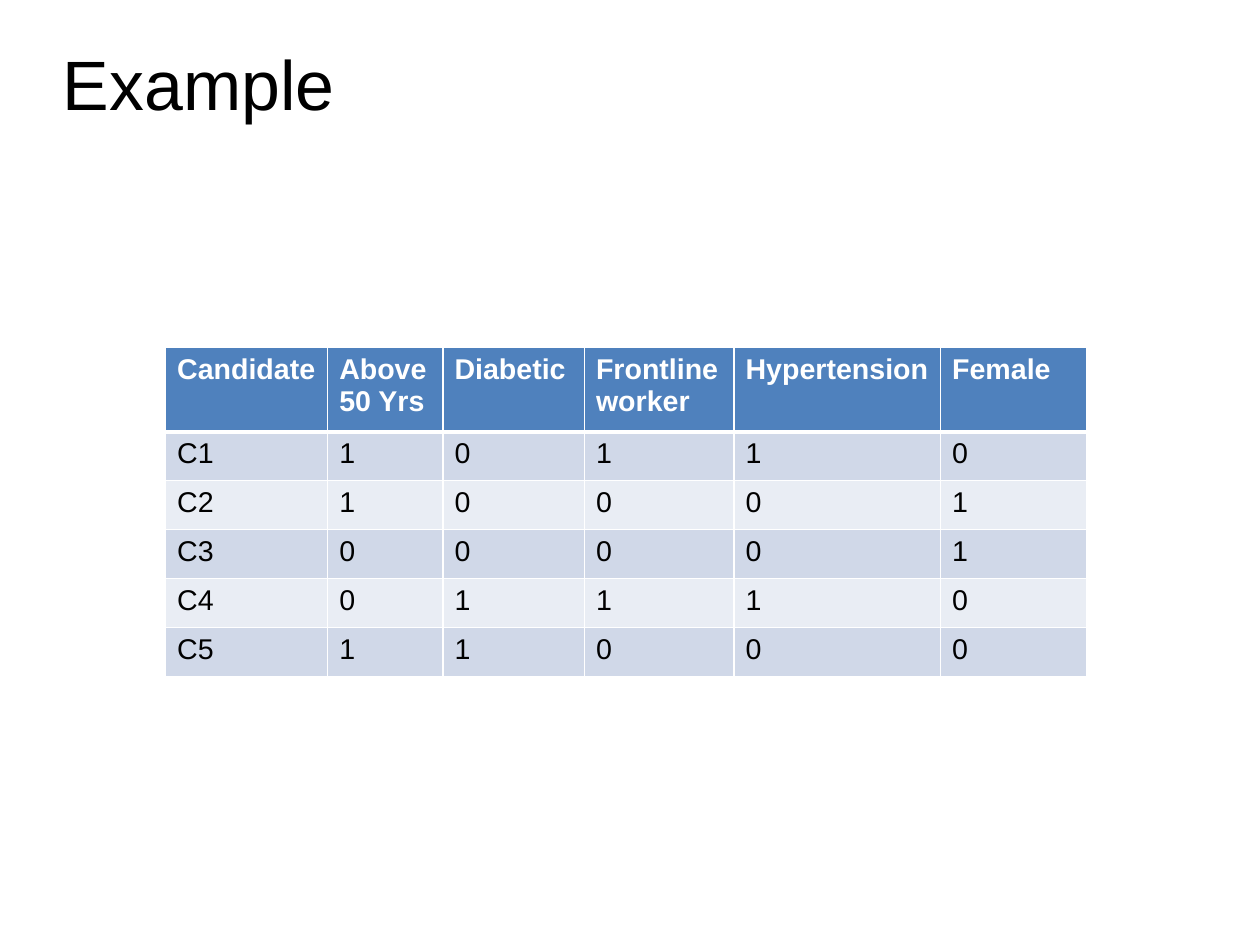
from lxml.etree import SubElement
from pptx import Presentation
from pptx.dml.color import RGBColor
from pptx.enum.text import MSO_ANCHOR, PP_ALIGN
from pptx.oxml.ns import qn
from pptx.util import Inches, Pt

BLACK = RGBColor(0x00, 0x00, 0x00)
WHITE = RGBColor(0xFF, 0xFF, 0xFF)
BLUE = RGBColor(0x4F, 0x81, 0xBD)
BANDS = [RGBColor(0xD0, 0xD8, 0xE8), RGBColor(0xE9, 0xED, 0xF4)]

HEADS = ["Candidate", "Above 50 Yrs", "Diabetic", "Frontline worker",
         "Hypertension", "Female"]
FLAGS = ["10110", "10001", "00001", "01110", "11000"]
WIDTHS = [1.42, 1.01, 1.24, 1.31, 1.81, 1.28]
HEAD_H, ROW_H = 0.74, 0.43
MM = 1 / 25.4


def write(frame, text, size=18, color=BLACK, bold=False, lead=None):
    par = frame.paragraphs[0]
    par.alignment = PP_ALIGN.LEFT
    par.line_spacing = lead
    run = par.add_run()
    run.text = text
    font = run.font
    font.name, font.size, font.bold = "Arial", Pt(size), bold
    font.color.rgb = color


def rule(cell, side, width):
    line = SubElement(cell._tc.get_or_add_tcPr(), qn("a:ln" + side),
                      w=str(Pt(width)))
    fill = SubElement(line, qn("a:solidFill"))
    SubElement(fill, qn("a:srgbClr"), val=str(WHITE))


def add_title(slide, text, left, top, width, height):
    title = slide.shapes.title
    title.left, title.top = Inches(left), Inches(top)
    title.width, title.height = Inches(width), Inches(height)
    frame = title.text_frame
    frame.margin_left = frame.margin_right = 0
    frame.margin_top = frame.margin_bottom = 0
    frame.vertical_anchor = MSO_ANCHOR.MIDDLE
    frame.word_wrap = True
    write(frame, text, size=44, lead=0.9)


def add_grid(slide, left, top, width, height):
    rows = [HEADS] + [[f"C{n}", *flags] for n, flags in enumerate(FLAGS, 1)]
    table = slide.shapes.add_table(
        len(rows), len(HEADS), Inches(left), Inches(top),
        Inches(width), Inches(height)).table

    # Column widths and row heights, scaled to the box
    for col, part in zip(table.columns, WIDTHS):
        col.width = Inches(width * part / sum(WIDTHS))
    total = HEAD_H + ROW_H * len(FLAGS)
    for r, row in enumerate(table.rows):
        row.height = Inches(height * (ROW_H if r else HEAD_H) / total)

    # Cells: borders go before the fill in the cell properties
    for r, texts in enumerate(rows):
        head = r == 0
        for c, text in enumerate(texts):
            cell = table.cell(r, c)
            for side in "LRTB":
                thick = (side == "B" and head) or (side == "T" and r == 1)
                rule(cell, side, 3 if thick else 1)
            cell.fill.solid()
            cell.fill.fore_color.rgb = BLUE if head else BANDS[(r - 1) % 2]
            write(cell.text_frame, text, bold=head,
                  color=WHITE if head else BLACK)


def main():
    deck = Presentation()
    # Page of 280 by 210 mm
    deck.slide_width = Inches(280 * MM)
    deck.slide_height = Inches(210 * MM)
    slide = deck.slides.add_slide(deck.slide_layouts[5])
    add_title(slide, "Example", 0.55, 0.33, 9.92, 0.87)
    add_grid(slide, 1.45, 3.04, 8.06, 2.88)
    deck.save("out.pptx")


if __name__ == "__main__":
    main()
